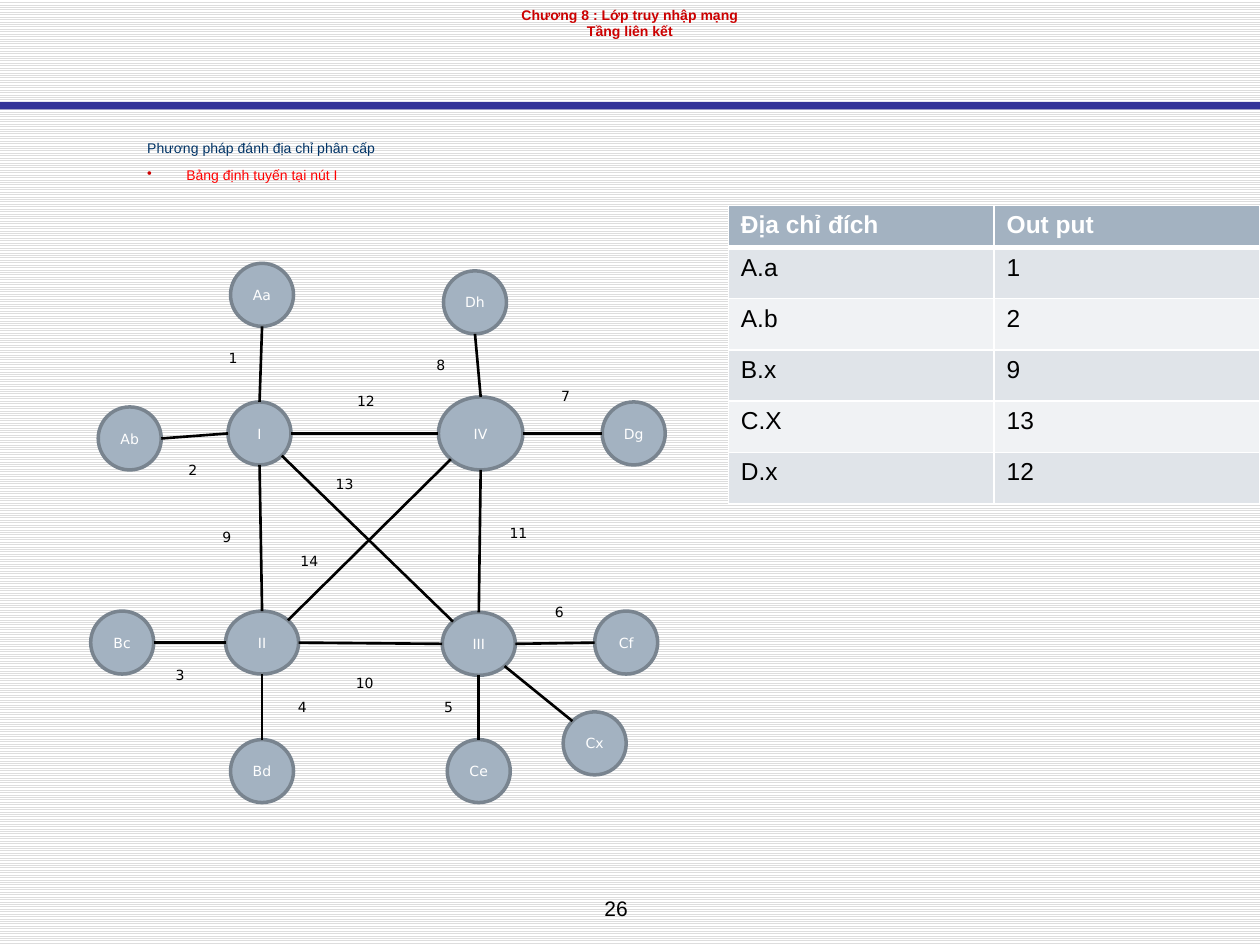
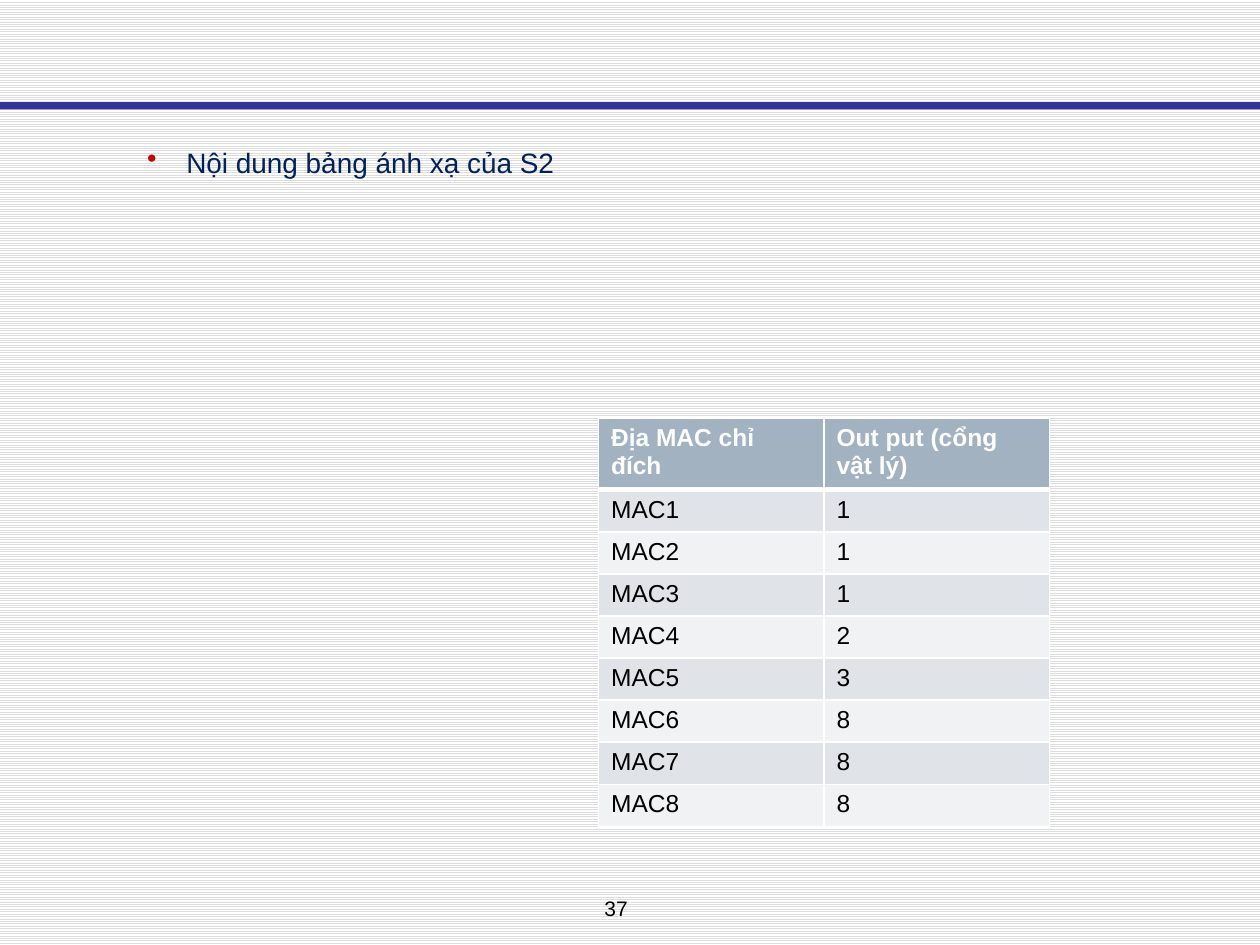
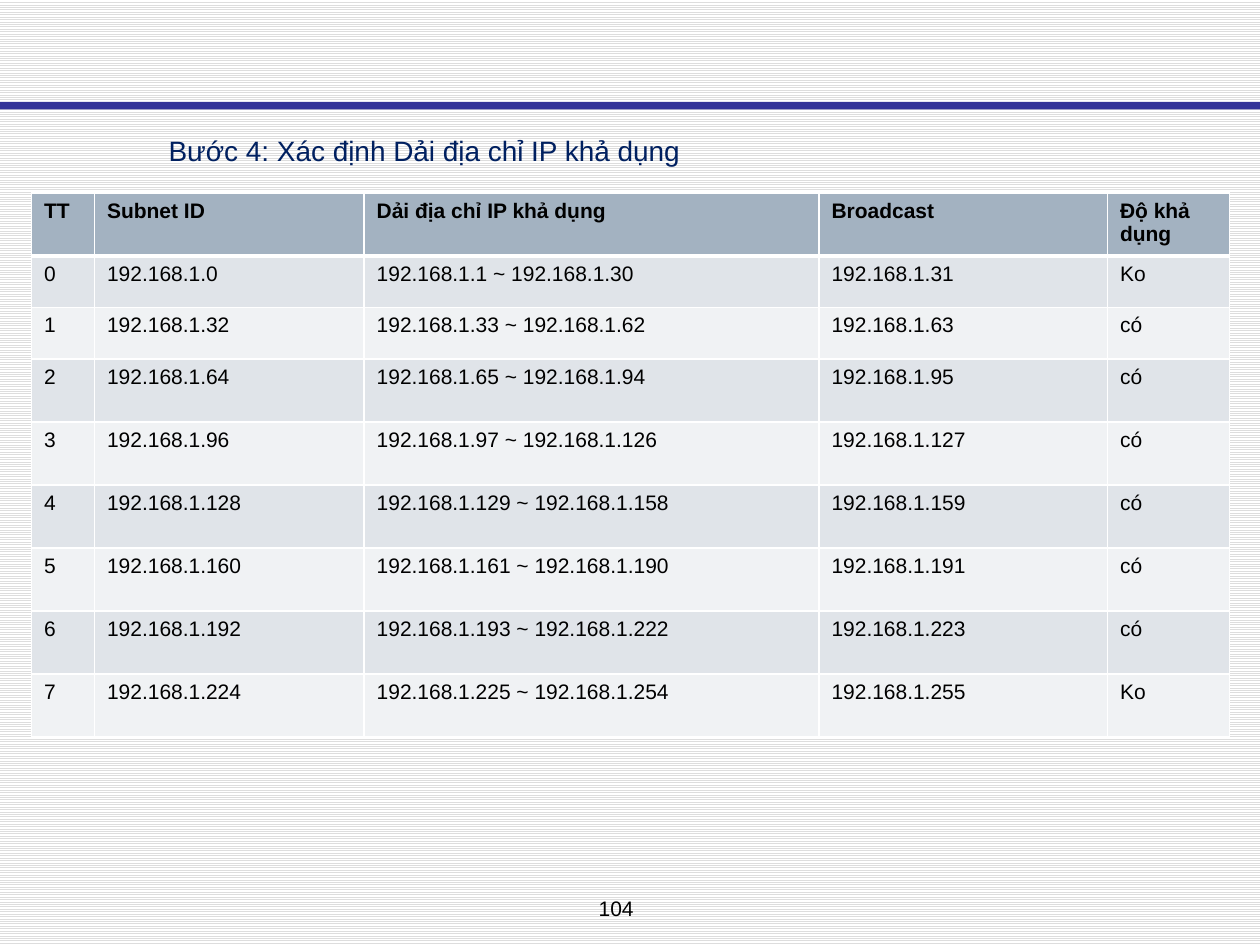
from dataclasses import dataclass
from typing import NamedTuple

from lxml import etree
from pptx import Presentation
from pptx.dml.color import RGBColor
from pptx.enum.dml import MSO_PATTERN
from pptx.enum.shapes import MSO_CONNECTOR, MSO_SHAPE
from pptx.enum.text import MSO_ANCHOR, PP_ALIGN
from pptx.oxml.ns import qn
from pptx.util import Emu, Inches, Pt

HATCH = MSO_PATTERN.LIGHT_HORIZONTAL
STRAIGHT = MSO_CONNECTOR.STRAIGHT
RECT, OVAL = MSO_SHAPE.RECTANGLE, MSO_SHAPE.OVAL
MIDDLE = MSO_ANCHOR.MIDDLE
CENTER, LEFT = PP_ALIGN.CENTER, PP_ALIGN.LEFT

COLS, ROWS = 100, 75
SANS, LABEL = "Arial", "DejaVu Sans"
WHITE, BLACK, STRIPE = "FFFFFF", "000000", "DDDDDD"
BAND, STEEL, EDGE = "333399", "A3B2C1", "79848F"
TINTS = ("F0F2F4", "E0E4E9")
CRIMSON, RED, NAVY, TEAL = "CC0000", "FF0000", "002060", "003366"
DIAG = 0.5 ** 0.5
SIDES = {
    "n": (0, -1), "s": (0, 1), "w": (-1, 0), "e": (1, 0),
    "nw": (-DIAG, -DIAG), "ne": (DIAG, -DIAG),
    "sw": (-DIAG, DIAG), "se": (DIAG, DIAG),
}


class Box(NamedTuple):
    """An area in grid columns and rows."""
    left: float
    top: float
    width: float
    height: float


@dataclass(frozen=True)
class Node:
    """An oval given by its centre and size on the grid."""
    name: str
    x: float
    y: float
    width: float = 5
    height: float = 5

    def box(self) -> Box:
        """Return the area around the oval."""
        return Box(self.x - self.width / 2, self.y - self.height / 2,
                   self.width, self.height)

    def point(self, side: str) -> tuple[float, float]:
        """Return the point of the rim on the given side."""
        dx, dy = SIDES[side]
        return self.x + dx * self.width / 2, self.y + dy * self.height / 2


class Link(NamedTuple):
    """A line between the sides of two nodes."""
    start: str
    out: str
    end: str
    into: str


class Item(NamedTuple):
    """One line of body text."""
    text: str
    size: float
    color: str
    dot: bool = False


@dataclass(frozen=True)
class Grid:
    """A table with its place, sizes and contents."""
    left: float
    top: float
    cols: list[float]
    rows: list[float]
    cells: list[list[str]]
    size: float
    head: str


NODES = [
    Node("I", 20.6, 34.4), Node("II", 20.8, 51, 5.8),
    Node("III", 38, 51.1, 5.8), Node("IV", 38.15, 34.4, 6.7, 5.8),
    Node("Aa", 20.8, 23.4), Node("Ab", 10.3, 34.8),
    Node("Bc", 9.7, 51), Node("Bd", 20.8, 61.2),
    Node("Ce", 38, 61.2), Node("Cf", 49.7, 51),
    Node("Dg", 50.3, 34.4), Node("Dh", 37.7, 24), Node("Cx", 47.2, 59),
]
LINKS = [
    Link("I", "e", "IV", "w"), Link("I", "s", "II", "n"),
    Link("II", "e", "III", "w"), Link("IV", "s", "III", "n"),
    Link("I", "se", "III", "nw"), Link("II", "ne", "IV", "sw"),
    Link("Aa", "s", "I", "n"), Link("Ab", "e", "I", "w"),
    Link("Bc", "e", "II", "w"), Link("II", "s", "Bd", "n"),
    Link("III", "s", "Ce", "n"), Link("III", "e", "Cf", "w"),
    Link("IV", "e", "Dg", "w"), Link("Dh", "s", "IV", "n"),
    Link("III", "se", "Cx", "nw"),
]
PORTS = [
    (18.5, 28.4), (15.3, 37.3), (14.3, 53.6), (24, 56.1), (35.6, 56.1),
    (44.4, 48.6), (44.9, 31.4), (35, 29), (18, 42.6), (28.95, 54.2),
    (41.15, 42.3), (29.05, 31.8), (27.35, 38.4), (24.55, 44.5),
]

deck = Presentation()
deck.slide_width, deck.slide_height = Inches(10), Inches(7.5)


def across(cols: float) -> Emu:
    """Turn grid columns into a length."""
    return Emu(round(deck.slide_width * cols / COLS))


def down(rows: float) -> Emu:
    """Turn grid rows into a length."""
    return Emu(round(deck.slide_height * rows / ROWS))


def place(box: Box) -> tuple[Emu, Emu, Emu, Emu]:
    """Turn a grid area into left, top, width and height."""
    return across(box.left), down(box.top), across(box.width), down(box.height)


def paint(color: str) -> RGBColor:
    """Turn a hex string into a colour."""
    return RGBColor.from_string(color)


def write(para, text: str, size: float, color: str, font: str = SANS,
          bold: bool = False, align=LEFT) -> None:
    """Fill a paragraph with text in one style."""
    para.text, para.alignment = text, align
    para.font.name, para.font.size, para.font.bold = font, Pt(size), bold
    para.font.color.rgb = paint(color)


def frame(slide, box: Box):
    """Add a wrapping text box and return its text frame."""
    text = slide.shapes.add_textbox(*place(box)).text_frame
    text.word_wrap = True
    return text


def start(page: int):
    """Add a slide with the shared ground, band and page number."""
    slide = deck.slides.add_slide(deck.slide_layouts[6])
    fill = slide.background.fill
    fill.patterned()
    fill.pattern = HATCH
    fill.fore_color.rgb, fill.back_color.rgb = paint(STRIPE), paint(WHITE)
    band = slide.shapes.add_shape(RECT, *place(Box(0, 8.1, COLS, 0.6)))
    band.shadow.inherit = False
    band.fill.solid()
    band.fill.fore_color.rgb = paint(BAND)
    band.line.fill.background()
    foot = frame(slide, Box(40.8, 70.6, 16.2, 3))
    write(foot.paragraphs[0], str(page), 12, BLACK, align=CENTER)
    return slide


def body(slide, box: Box, items: list[Item]) -> None:
    """Add body lines, with red bullets where asked."""
    text = frame(slide, box)
    for rank, item in enumerate(items):
        para = text.add_paragraph() if rank else text.paragraphs[0]
        write(para, item.text, item.size, item.color)
        para.line_spacing = 1.35
        para.space_before = Pt(0.35 * item.size)
        if item.dot:
            props = para._p.get_or_add_pPr()
            props.set("marL", str(across(3.1)))
            props.set("indent", str(-across(3.1)))
            tint = etree.Element(qn("a:buClr"))
            etree.SubElement(tint, qn("a:srgbClr"), val=CRIMSON)
            mark = etree.Element(qn("a:buChar"), char="•")
            for part in (tint, mark):
                props.find(qn("a:defRPr")).addprevious(part)


def border(cell, row: int) -> None:
    """Draw white cell borders, thick below the header."""
    thick = {"B": 3 if row == 0 else 1, "T": 3 if row == 1 else 1}
    props = cell._tc.get_or_add_tcPr()
    for rank, side in enumerate("LRTB"):
        line = etree.Element(qn(f"a:ln{side}"), w=str(Pt(thick.get(side, 1))))
        fill = etree.SubElement(line, qn("a:solidFill"))
        etree.SubElement(fill, qn("a:srgbClr"), val=WHITE)
        props.insert(rank, line)


def chart(slide, grid: Grid) -> None:
    """Add a table with a header and two row tints."""
    area = Box(grid.left, grid.top, sum(grid.cols), sum(grid.rows))
    table = slide.shapes.add_table(
        len(grid.rows), len(grid.cols), *place(area)).table
    table.horz_banding = False
    for col, width in zip(table.columns, grid.cols):
        col.width = across(width)
    for row, height in zip(table.rows, grid.rows):
        row.height = down(height)
    for row, texts in enumerate(grid.cells):
        head = row == 0
        for col, text in enumerate(texts):
            cell = table.cell(row, col)
            cell.fill.solid()
            cell.fill.fore_color.rgb = paint(STEEL if head else TINTS[row % 2])
            border(cell, row)
            write(cell.text_frame.paragraphs[0], text, grid.size,
                  grid.head if head else BLACK, bold=head)


def oval(slide, node: Node, solid: bool) -> None:
    """Add a filled node, or a bare label."""
    shape = slide.shapes.add_shape(OVAL, *place(node.box()))
    shape.shadow.inherit = False
    if solid:
        shape.fill.solid()
        shape.fill.fore_color.rgb = paint(STEEL)
        shape.line.color.rgb = paint(EDGE)
        shape.line.width = Pt(2)
    else:
        shape.fill.background()
        shape.line.fill.background()
    text = shape.text_frame
    text.vertical_anchor = MIDDLE
    text.margin_left = text.margin_right = 0
    write(text.paragraphs[0], node.name, 8, WHITE if solid else BLACK,
          LABEL, align=CENTER)


def join(slide, link: Link, nodes: dict[str, Node]) -> None:
    """Draw a line between two nodes."""
    x1, y1 = nodes[link.start].point(link.out)
    x2, y2 = nodes[link.end].point(link.into)
    line = slide.shapes.add_connector(
        STRAIGHT, across(x1), down(y1), across(x2), down(y2))
    line.line.color.rgb = paint(BLACK)
    line.line.width = Pt(1.5)
    etree.SubElement(line._element.spPr, qn("a:effectLst"))


def routes() -> None:
    """Build the slide on hierarchical addresses."""
    slide = start(26)
    title = frame(slide, Box(5, 0, 90, 9.2))
    write(title.paragraphs[0],
          "Chương 8 : Lớp truy nhập mạng\vTầng liên kết",
          8, CRIMSON, bold=True, align=CENTER)
    body(slide, Box(10.7, 10.1, 85.1, 12.4), [
        Item("Phương pháp đánh địa chỉ phân cấp", 8, TEAL),
        Item("Bảng định tuyến tại nút I", 8, RED, True),
    ])
    cells = [["Địa chỉ đích", "Out put"], ["A.a", "1"], ["A.b", "2"],
             ["B.x", "9"], ["C.X", "13"], ["D.x", "12"]]
    chart(slide, Grid(57.8, 16.3, [21.1] * 2, [3.2] + [4.07] * 5,
                      cells, 14, WHITE))
    for node in NODES:
        oval(slide, node, True)
    nodes = {node.name: node for node in NODES}
    for link in LINKS:
        join(slide, link, nodes)
    for port, (x, y) in enumerate(PORTS, 1):
        size = (5, 5) if port < 10 else (6.5, 4.8)
        oval(slide, Node(str(port), x, y, *size), False)


def ports() -> None:
    """Build the slide with the switch table."""
    slide = start(37)
    outs = [1, 1, 1, 2, 3, 8, 8, 8]
    cells = [["Địa MAC chỉ đích", "Out put (cổng vật lý)"]]
    cells += [[f"MAC{rank}", str(out)] for rank, out in enumerate(outs, 1)]
    chart(slide, Grid(47.5, 33.2, [17.9] * 2, [5.6] + [3.34] * 8,
                      cells, 14, WHITE))
    body(slide, Box(10.7, 10.1, 85.1, 4.9),
         [Item("Nội dung bảng ánh xạ của S2", 16, NAVY, True)])


def subnets() -> None:
    """Build the slide with the usable address ranges."""
    slide = start(104)
    cells = [["TT", "Subnet ID", "Dải địa chỉ IP khả dụng", "Broadcast",
              "Độ khả dụng"]]
    net, count, step = "192.168.1.", 8, 32
    for rank in range(count):
        low = rank * step
        high = low + step - 1
        cells.append([
            str(rank), f"{net}{low}", f"{net}{low + 1} ~ {net}{high - 1}",
            f"{net}{high}", "Ko" if rank in (0, count - 1) else "có"])
    chart(slide, Grid(2.5, 15.3, [5, 21.4, 36.1, 22.9, 9.7],
                      [4.9] + [4.1] * 2 + [5] * 6, cells, 12, BLACK))
    body(slide, Box(12.4, 9.2, 85.1, 5),
         [Item("Bước 4: Xác định Dải địa chỉ IP khả dụng", 16, NAVY)])


routes()
ports()
subnets()
deck.save("out.pptx")
